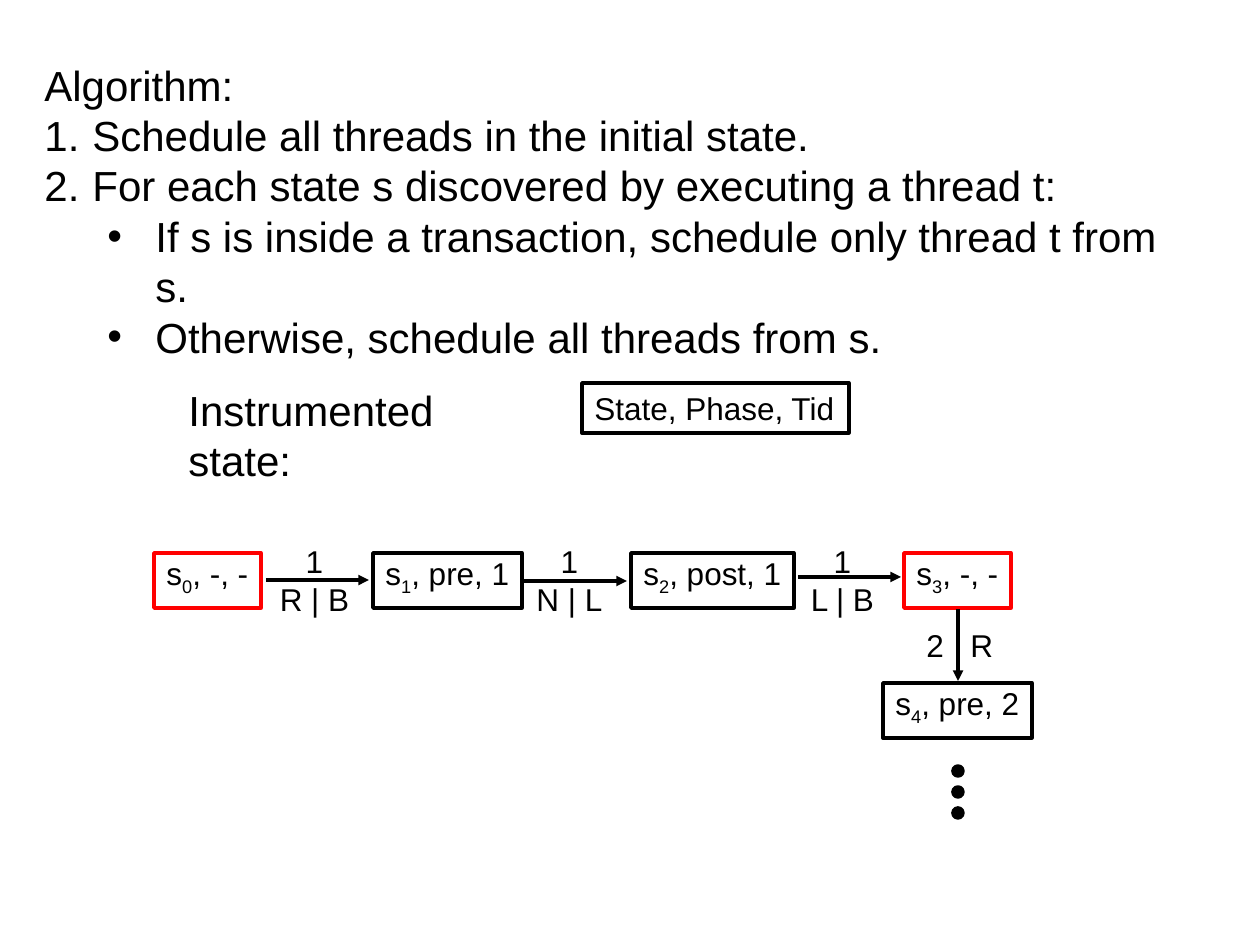
from lxml import etree
from pptx import Presentation
from pptx.dml.color import RGBColor
from pptx.enum.shapes import MSO_CONNECTOR, MSO_SHAPE
from pptx.enum.text import MSO_ANCHOR, PP_ALIGN
from pptx.oxml.ns import qn
from pptx.util import Pt

BLACK = RGBColor(0, 0, 0)
RED = RGBColor(255, 0, 0)
RECTANGLE, OVAL = MSO_SHAPE.RECTANGLE, MSO_SHAPE.OVAL
STRAIGHT = MSO_CONNECTOR.STRAIGHT
TOP = MSO_ANCHOR.TOP
LEFT, CENTER = PP_ALIGN.LEFT, PP_ALIGN.CENTER
FONT = "Arial"
STROKE = Pt(2)
PX_PER_INCH = 126
ROW_TOP, STATE_HEIGHT = 553, 55


def px(length):
    """Turn whole pixels into EMU."""
    return round(length * 914400 / PX_PER_INCH)


def add_span(para, text, size, subscript=False):
    """Append a run of black text, lowered if it is a subscript."""
    span = para.add_run()
    span.text = text
    span.font.name = FONT
    span.font.size = Pt(size)
    span.font.color.rgb = BLACK
    if subscript:
        span._r.get_or_add_rPr().set("baseline", "-25000")


def format_para(para, size, align=LEFT):
    """Set alignment and line pitch."""
    para.alignment = align
    para.line_spacing = Pt(size * 1.2)


def add_bullet(para, tag, indent, **attributes):
    """Give a paragraph a hanging bullet or number."""
    properties = para._p.get_or_add_pPr()
    properties.set("marL", str(px(indent)))
    properties.set("indent", str(-px(48)))
    if tag == "a:buChar":
        etree.SubElement(properties, qn("a:buFont"), typeface=FONT)
    etree.SubElement(properties, qn(tag), **attributes)


def add_text(page, text, left, top, width, height, size=18, align=LEFT, tab=None):
    """Add a text box with one paragraph per line of text."""
    box = page.shapes.add_textbox(px(left), px(top), px(width), px(height))
    frame = box.text_frame
    frame.word_wrap = False
    for index, line in enumerate(text.split("\n")):
        para = frame.paragraphs[0] if index == 0 else frame.add_paragraph()
        format_para(para, size, align)
        if tab:
            stops = etree.SubElement(para._p.get_or_add_pPr(), qn("a:tabLst"))
            etree.SubElement(stops, qn("a:tab"), pos=str(px(tab)), algn="l")
        add_span(para, line, size)
    return box


def add_algorithm(page):
    """Add the numbered algorithm with its bulleted cases."""
    text = "\n".join((
        "Algorithm:",
        "Schedule all threads in the initial state.",
        "For each state s discovered by executing a thread t:",
        "If s is inside a transaction, schedule only thread t from s.",
        "Otherwise, schedule all threads from s.",
    ))
    box = add_text(page, text, 32, 53, 1181, 265, size=24)
    paras = box.text_frame.paragraphs
    for para in paras[1:3]:
        add_bullet(para, "a:buAutoNum", 48, type="arabicPeriod")
    for para in paras[3:]:
        para.level = 1
        add_bullet(para, "a:buChar", 111, char="•")


def add_state(page, parts, left, top, width, height=STATE_HEIGHT, color=BLACK):
    """Add an outlined state; every second part is a subscript."""
    box = page.shapes.add_shape(RECTANGLE, px(left), px(top), px(width), px(height))
    box.shadow.inherit = False
    box.fill.background()
    box.line.color.rgb = color
    box.line.width = STROKE
    frame = box.text_frame
    frame.word_wrap = False
    frame.vertical_anchor = TOP
    para = frame.paragraphs[0]
    format_para(para, 18)
    for index, part in enumerate(parts):
        add_span(para, part, 18, subscript=index % 2 == 1)


def add_arrow(page, start_x, start_y, end_x, end_y):
    """Add a line with a triangle at its end."""
    arrow = page.shapes.add_connector(
        STRAIGHT, px(start_x), px(start_y), px(end_x), px(end_y))
    arrow.line.color.rgb = BLACK
    arrow.line.width = STROKE
    etree.SubElement(arrow.line._get_or_add_ln(), qn("a:tailEnd"), type="triangle")
    etree.SubElement(arrow._element.spPr, qn("a:effectLst"))


def add_dot(page, left, top, size=10):
    """Add one filled dot of the vertical ellipsis."""
    dot = page.shapes.add_shape(OVAL, px(left), px(top), px(size), px(size))
    dot.shadow.inherit = False
    dot.fill.solid()
    dot.fill.fore_color.rgb = BLACK
    dot.line.color.rgb = BLACK
    dot.line.width = STROKE


def main():
    """Build and save the slide."""
    deck = Presentation()
    deck.slide_width, deck.slide_height = px(1260), px(945)
    page = deck.slides.add_slide(deck.slide_layouts[6])
    add_algorithm(page)
    add_text(page, "Instrumented state:", 176, 378, 384, 63, size=24)
    add_state(page, ["State, Phase, Tid"], 582, 383, 267, height=50)

    for number, rest, left, top, width, color in (
        ("0", ", -, -", 154, ROW_TOP, 107, RED),
        ("1", ", pre, 1", 373, ROW_TOP, 149, BLACK),
        ("2", ", post, 1", 631, ROW_TOP, 163, BLACK),
        ("3", ", -, -", 904, ROW_TOP, 107, RED),
        ("4", ", pre, 2", 883, 683, 149, BLACK),
    ):
        add_state(page, ["s", number, rest], left, top, width, color=color)

    for label, arrow_left, arrow_y, label_left, label_width in (
        ("1\nR | B", 266, 580, 267, 95),
        ("1\nN | L", 524, 581, 524, 91),
        ("1\nL | B", 798, 577, 798, 89),
    ):
        add_arrow(page, arrow_left, arrow_y, arrow_left + 103, arrow_y)
        add_text(page, label, label_left, 536, label_width, 88, align=CENTER)

    add_arrow(page, 958, 609, 958, 681)
    add_text(page, "2\tR", 914, 620, 92, 50, tab=44)
    for index in range(3):
        add_dot(page, 953, 766 + 21 * index)
    deck.save("out.pptx")


if __name__ == "__main__":
    main()
